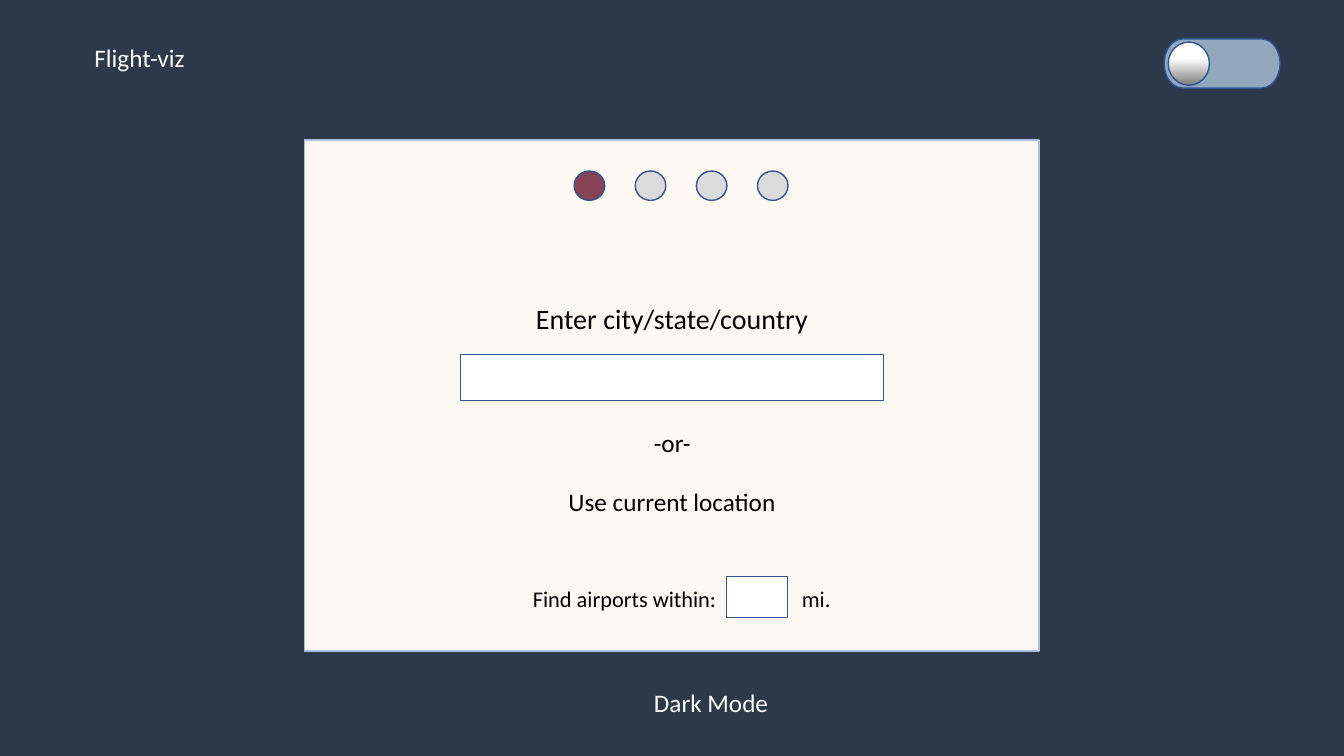
from dataclasses import dataclass

from lxml import etree
from pptx import Presentation
from pptx.dml import color
from pptx.enum import shapes, text
from pptx.oxml import ns
from pptx.util import Cm, Pt

KIND = shapes.MSO_SHAPE
LEFT = text.PP_ALIGN.LEFT
MID = text.PP_ALIGN.CENTER
BLUE = "325491"
WHITE = "FFFFFF"


@dataclass
class Box:
    left: float
    top: float
    width: float
    height: float

    def place(self) -> list:
        return [Cm(v) for v in (self.left, self.top, self.width, self.height)]


@dataclass
class Form:
    box: Box
    kind: int
    fill: str
    line: str = BLUE
    weight: float = 1


@dataclass
class Label:
    box: Box
    words: str
    size: int = 18
    ink: str = "000000"
    align: int = MID


def tint(hue: str) -> color.RGBColor:
    return color.RGBColor.from_string(hue)


def paint(fill, hue: str) -> None:
    fill.solid()
    fill.fore_color.rgb = tint(hue)


def draw(slide, form: Form):
    shape = slide.shapes.add_shape(form.kind, *form.box.place())
    shape.shadow.inherit = False
    paint(shape.fill, form.fill)
    paint(shape.line.fill, form.line)
    shape.line.width = Pt(form.weight)
    return shape


def write(slide, label: Label) -> None:
    frame = slide.shapes.add_textbox(*label.box.place()).text_frame
    para = frame.paragraphs[0]
    para.text = label.words
    font = para.runs[0].font
    looks = {
        frame: {"word_wrap": True, "auto_size": text.MSO_AUTO_SIZE.SHAPE_TO_FIT_TEXT},
        para: {"alignment": label.align},
        font: {"name": "Calibri", "size": Pt(label.size)},
    }
    for item, look in looks.items():
        for key, value in look.items():
            setattr(item, key, value)
    font.color.rgb = tint(label.ink)


def shade(shape, stops: dict[int, str]) -> None:
    shape.fill.gradient()
    shape.fill.gradient_angle = 270
    ramp = shape.element.spPr.find(".//" + ns.qn("a:gsLst"))
    for old in list(ramp):
        ramp.remove(old)
    for spot, hue in stops.items():
        stop = etree.SubElement(ramp, ns.qn("a:gs"), pos=str(spot * 1000))
        etree.SubElement(stop, ns.qn("a:srgbClr"), val=hue)


FORMS = [
    Form(Box(7.67, 3.53, 18.52, 12.88), KIND.RECTANGLE, "FFF8F3", "ABC0E4"),
    Form(Box(29.34, 0.98, 2.92, 1.24), KIND.FLOWCHART_TERMINATOR, "92A9BD"),
    Form(Box(11.59, 8.92, 10.67, 1.16), KIND.RECTANGLE, WHITE, weight=0.5),
    Form(Box(18.3, 14.52, 1.55, 1.03), KIND.RECTANGLE, WHITE, weight=0.75),
]
DOTS = ["874356"] + ["DBDBDB"] * 3
KNOB = Form(Box(29.44, 1.06, 1.04, 1.09), KIND.FLOWCHART_CONNECTOR, WHITE, "2F5597")
GLOSS = {6: "F6F8FC", 14: WHITE, 38: WHITE, 100: "7C7C7C"}
LABELS = [
    Label(Box(2.13, 0.95, 3.15, 1.02), "Flight-viz", ink=WHITE, align=LEFT),
    Label(Box(12.21, 7.47, 9.45, 1.11), "Enter city/state/country", 20),
    Label(Box(14.4, 10.64, 5.08, 1.02), "-or-"),
    Label(Box(12.34, 12.14, 9.19, 1.02), "Use current location"),
    Label(Box(12.7, 17.2, 10.44, 1.02), "Dark Mode", ink=WHITE),
    Label(Box(13.18, 14.63, 5.64, 0.94), "Find airports within:", 16, align=LEFT),
    Label(Box(19.96, 14.63, 1.68, 0.94), "mi.", 16, align=LEFT),
]


def main() -> None:
    deck = Presentation()
    deck.slide_width, deck.slide_height = Cm(33.87), Cm(19.05)
    slide = deck.slides.add_slide(deck.slide_layouts[6])
    paint(slide.background.fill, "2C394B")
    for form in FORMS:
        draw(slide, form)
    for step, hue in enumerate(DOTS):
        box = Box(14.47 + 1.54 * step, 4.31, 0.77, 0.74)
        draw(slide, Form(box, KIND.FLOWCHART_CONNECTOR, hue))
    shade(draw(slide, KNOB), GLOSS)
    for label in LABELS:
        write(slide, label)
    deck.save("out.pptx")


if __name__ == "__main__":
    main()
